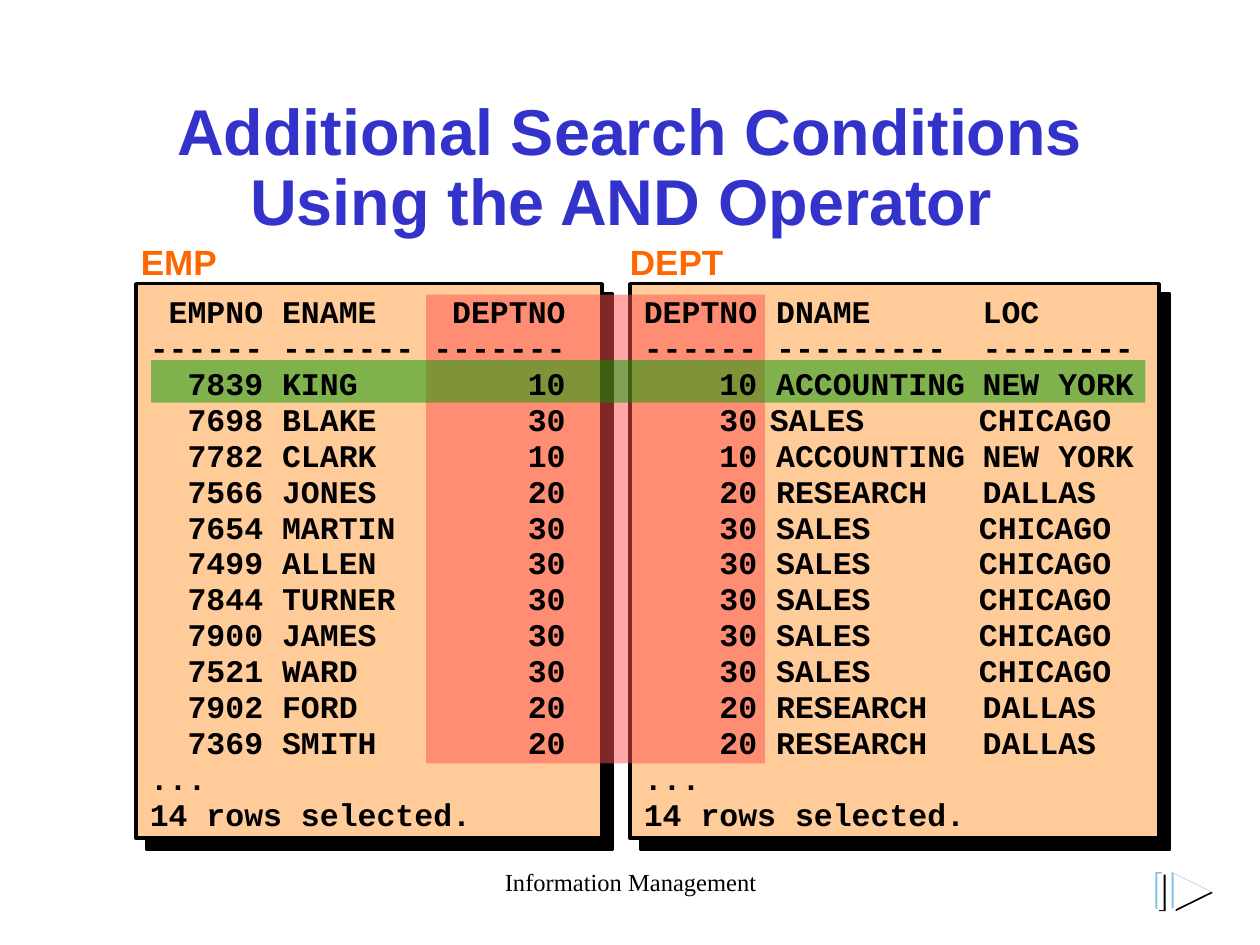
from dataclasses import dataclass

from lxml import etree
from pptx import Presentation
from pptx.dml.color import RGBColor
from pptx.enum.shapes import MSO_SHAPE
from pptx.enum.text import MSO_ANCHOR, MSO_AUTO_SIZE, PP_ALIGN
from pptx.oxml.ns import qn
from pptx.util import Cm, Pt

RECT = MSO_SHAPE.RECTANGLE
TOP = MSO_ANCHOR.TOP
GROW, SHRINK = MSO_AUTO_SIZE.SHAPE_TO_FIT_TEXT, MSO_AUTO_SIZE.TEXT_TO_FIT_SHAPE
LEFT, MID = PP_ALIGN.LEFT, PP_ALIGN.CENTER

HUE = {"ink": "000000", "title": "3333CC", "label": "FF6600", "panel": "FFCC99",
       "key": "FF5050", "match": "009900", "sky": "7FC1EB", "white": "FFFFFF"}
TABS = (2.54, 5.23, 6.83)


@dataclass
class Box:
    x: float
    y: float
    w: float
    h: float

    def cm(self) -> tuple:
        return Cm(self.x), Cm(self.y), Cm(self.w), Cm(self.h)


@dataclass
class Table:
    name: str
    label: Box
    panel: Box
    lines: list


# Query results: each employee row is joined to its department row
STAFF = [(7839, "KING", 10), (7698, "BLAKE", 30), (7782, "CLARK", 10),
         (7566, "JONES", 20), (7654, "MARTIN", 30), (7499, "ALLEN", 30),
         (7844, "TURNER", 30), (7900, "JAMES", 30), (7521, "WARD", 30),
         (7902, "FORD", 20), (7369, "SMITH", 20)]
DEPTS = {10: "ACCOUNTING\tNEW YORK", 20: "RESEARCH\tDALLAS",
         30: "SALES\t    CHICAGO"}
TAIL = ["...", "14 rows selected."]
EMP = [" EMPNO ENAME    DEPTNO", "------ ------- -------"]
EMP += [f"  {num} {name:<13}{dept}" for num, name, dept in STAFF] + TAIL
DEPT = ["DEPTNO DNAME     \tLOC", "------ ---------\t--------"]
DEPT += [f"    {dept}{chr(9) if name == 'BLAKE' else ' '}{DEPTS[dept]}"
         for _, name, dept in STAFF] + TAIL

TABLES = [
    Table("EMP", Box(2.59, 4.72, 2.24, 1.09), Box(2.74, 5.72, 9.4, 11.18), EMP),
    Table("DEPT", Box(12.45, 4.72, 2.59, 1.09), Box(12.7, 5.72, 10.67, 11.18), DEPT),
]


def shade(props, dist: float) -> None:
    """Add a hard black shadow down and to the right."""
    fx = etree.SubElement(props, qn("a:effectLst"))
    out = etree.SubElement(fx, qn("a:outerShdw"), dist=str(Pt(dist)), dir="2700000",
                           algn="ctr", rotWithShape="0")
    etree.SubElement(out, qn("a:srgbClr"), val=HUE["ink"])


def write(shape, text: str, size: float, hue: str, font: str = "Arial",
          bold: bool = True, align=LEFT, wrap: bool = True, fit=GROW,
          space: float = 1, tabs: tuple = (), glow: float = 0) -> None:
    """Fill a shape with one paragraph per line of text."""
    frame = shape.text_frame
    frame.word_wrap, frame.auto_size = wrap, fit
    frame.vertical_anchor = TOP
    for i, line in enumerate(text.split("\n")):
        para = frame.add_paragraph() if i else frame.paragraphs[0]
        para.text = line
        para.alignment, para.line_spacing = align, space
        if tabs:
            stops = etree.SubElement(para._p.get_or_add_pPr(), qn("a:tabLst"))
            for pos in tabs:
                etree.SubElement(stops, qn("a:tab"), pos=str(Cm(pos)), algn="l")
        for run in para.runs:
            face = run.font
            face.color.rgb = RGBColor.from_string(HUE[hue])
            if glow:
                shade(run._r.get_or_add_rPr(), glow)
            face.name, face.size, face.bold = font, Pt(size), bold


def paint(shape, hue: str, alpha: int = 100) -> None:
    shape.shadow.inherit = False
    shape.line.fill.background()
    shape.fill.solid()
    shape.fill.fore_color.rgb = RGBColor.from_string(HUE[hue])
    if alpha < 100:
        tone = shape._element.spPr.find(qn("a:solidFill"))[0]
        etree.SubElement(tone, qn("a:alpha"), val=str(alpha * 1000))


def block(shapes, box: Box, hue: str, alpha: int = 100):
    shape = shapes.add_shape(RECT, *box.cm())
    paint(shape, hue, alpha)
    return shape


def panel(shapes, box: Box) -> None:
    shape = block(shapes, box, "panel")
    shape.line.color.rgb = RGBColor.from_string(HUE["ink"])
    shape.line.width = Pt(2)
    props = shape._element.spPr
    props.remove(props.find(qn("a:effectLst")))
    shade(props, 8.5)


def wedge(shapes, box: Box, hue: str) -> None:
    x, y, w, h = box.cm()
    path = shapes.build_freeform(x + w, y + h // 2)
    path.add_line_segments([(x, y), (x, y + h)], close=True)
    paint(path.convert_to_shape(), hue)


def main() -> None:
    deck = Presentation()
    deck.slide_width, deck.slide_height = Cm(25.4), Cm(19.05)
    slide = deck.slides.add_slide(deck.slide_layouts[5])
    shapes = slide.shapes

    # Title
    title = shapes.title
    title.left, title.top, title.width, title.height = Box(1.9, 1.7, 21.6, 3.18).cm()
    write(title, "Additional Search Conditions\vUsing the AND Operator ", 40, "title",
          align=MID, fit=SHRINK, glow=4)
    title.text_frame._txBody.bodyPr.find(qn("a:normAutofit")).set("fontScale", "90000")

    # Footer
    foot = shapes.add_textbox(*Box(8.69, 17.35, 8.05, 1.27).cm())
    write(foot, "Information Management", 14, "ink", font="Times New Roman",
          bold=False, align=MID, fit=None)

    # Panels and their labels
    for table in TABLES:
        panel(shapes, table.panel)
        label = shapes.add_textbox(*table.label.cm())
        write(label, table.name, 20, "label", wrap=False)

    # Join column and matching row
    block(shapes, Box(8.59, 5.94, 6.83, 9.45), "key", 50)
    block(shapes, Box(3.05, 7.26, 20.04, 0.86), "match", 50)

    # Listings
    for table in TABLES:
        area = table.panel
        code = shapes.add_textbox(
            *Box(area.x + 0.03, area.y + 0.1, area.w - 0.08, 11.1).cm())
        write(code, "\n".join(table.lines), 18, "ink", font="Courier New",
              space=0.95, tabs=TABS)

    # Forward icon: a bar and a triangle, each in three offset layers
    icon = shapes.add_group_shape().shapes
    layers = [("ink", 0.08, 0.05), ("sky", 0, 0), ("white", 0.04, 0.03)]
    for hue, dx, dy in layers:
        block(icon, Box(23.29 + dx, 17.58 + dy, 0.13, 0.74), hue)
    for hue, dx, dy in layers:
        wedge(icon, Box(23.62 + dx, 17.58 + dy, 0.75, 0.74), hue)

    deck.save("out.pptx")


if __name__ == "__main__":
    main()
